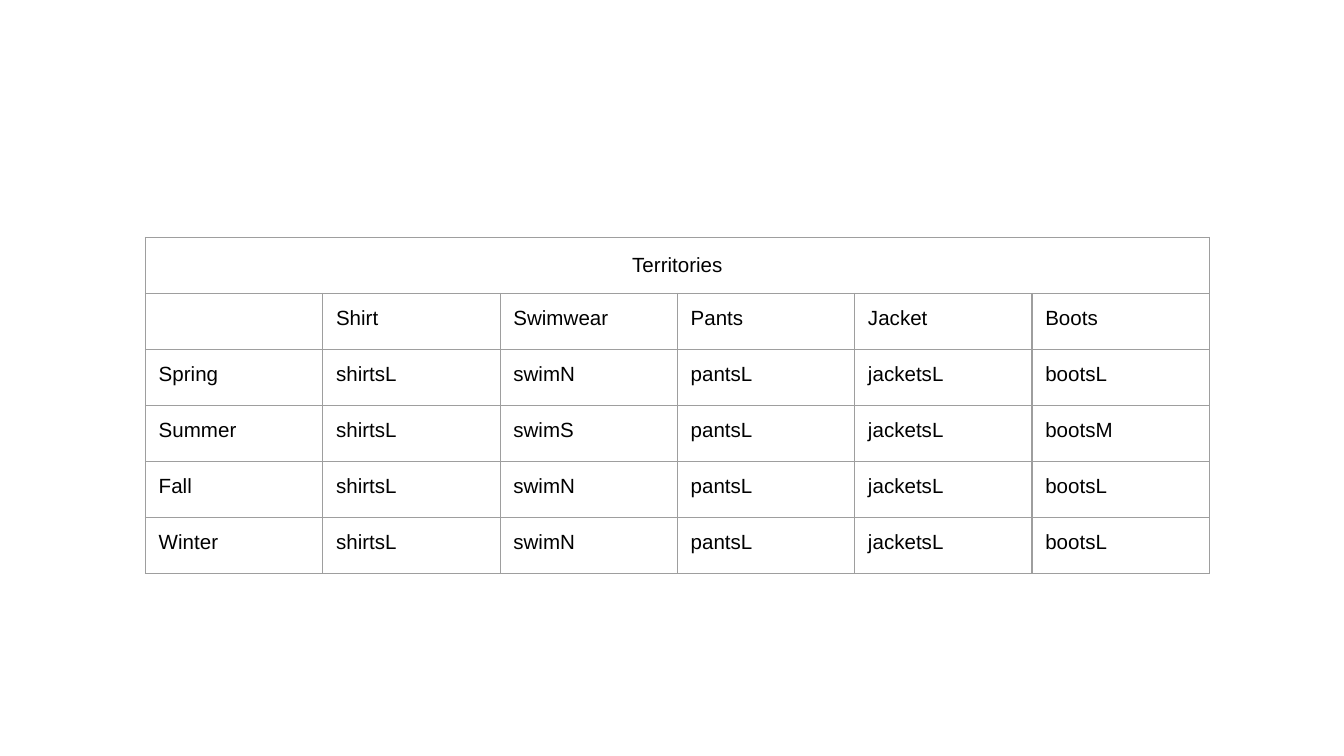
from dataclasses import dataclass

from lxml import etree
from pptx import Presentation
from pptx.dml.color import RGBColor
from pptx.enum.text import PP_ALIGN
from pptx.oxml.ns import qn
from pptx.util import Cm, Pt

LEFT, CENTER = PP_ALIGN.LEFT, PP_ALIGN.CENTER
BLANK_LAYOUT = 6


@dataclass(frozen=True)
class Theme:
    font: str = "Arial"
    size: int = 11
    text: str = "000000"
    border: str = "9E9E9E"
    border_width: float = 0.75


THEME = Theme()
TITLE = "Territories"
ROWS = [
    ["", "Shirt", "Swimwear", "Pants", "Jacket", "Boots"],
    ["Spring", "shirtsL", "swimN", "pantsL", "jacketsL", "bootsL"],
    ["Summer", "shirtsL", "swimS", "pantsL", "jacketsL", "bootsM"],
    ["Fall", "shirtsL", "swimN", "pantsL", "jacketsL", "bootsL"],
    ["Winter", "shirtsL", "swimN", "pantsL", "jacketsL", "bootsL"],
]
TITLE_FORMAT = {"alignment": CENTER, "line_spacing": 1.15, "space_after": Pt(16)}
BODY_FORMAT = {"alignment": LEFT}
CELL_MARGINS = {f"margin_{side}": Cm(0.25) for side in ("left", "right", "top", "bottom")}


def set_attributes(target, values):
    for name, value in values.items():
        setattr(target, name, value)


def add_borders(cell):
    properties = cell._tc.get_or_add_tcPr()
    for position, side in enumerate(("lnL", "lnR", "lnT", "lnB")):
        line = etree.Element(qn(f"a:{side}"), w=str(Pt(THEME.border_width)))
        fill = etree.SubElement(line, qn("a:solidFill"))
        etree.SubElement(fill, qn("a:srgbClr"), val=THEME.border)
        properties.insert(position, line)


def fill_cell(cell, text, para_format):
    set_attributes(cell, CELL_MARGINS)
    cell.fill.background()
    add_borders(cell)
    para = cell.text_frame.paragraphs[0]
    set_attributes(para, para_format)
    if text:
        span = para.add_run()
        span.text = text
        set_attributes(span.font, {"name": THEME.font, "size": Pt(THEME.size)})
        span.font.color.rgb = RGBColor.from_string(THEME.text)
    else:
        # An empty cell needs its own text size, or its row grows.
        etree.SubElement(para._p, qn("a:endParaRPr"), sz=str(THEME.size * 100))


def add_wardrobe_table(page, left, top, width, height):
    """Place a title row across all columns above the season grid."""
    column_count = len(ROWS[0])
    grid = [[TITLE] + [""] * (column_count - 1)] + ROWS
    table = page.shapes.add_table(len(grid), column_count, left, top, width, height).table
    set_attributes(table, {"first_row": False, "horz_banding": False})
    for row_index, texts in enumerate(grid):
        para_format = BODY_FORMAT if row_index else TITLE_FORMAT
        for column_index, text in enumerate(texts):
            fill_cell(table.cell(row_index, column_index), text, para_format)
    table.cell(0, 0).merge(table.cell(0, column_count - 1))


def main():
    deck = Presentation()
    set_attributes(deck, {"slide_width": Cm(25.4), "slide_height": Cm(14.29)})
    page = deck.slides.add_slide(deck.slide_layouts[BLANK_LAYOUT])
    add_wardrobe_table(page, Cm(2.75), Cm(4.49), Cm(20.11), Cm(6.35))
    deck.save("out.pptx")


if __name__ == "__main__":
    main()
